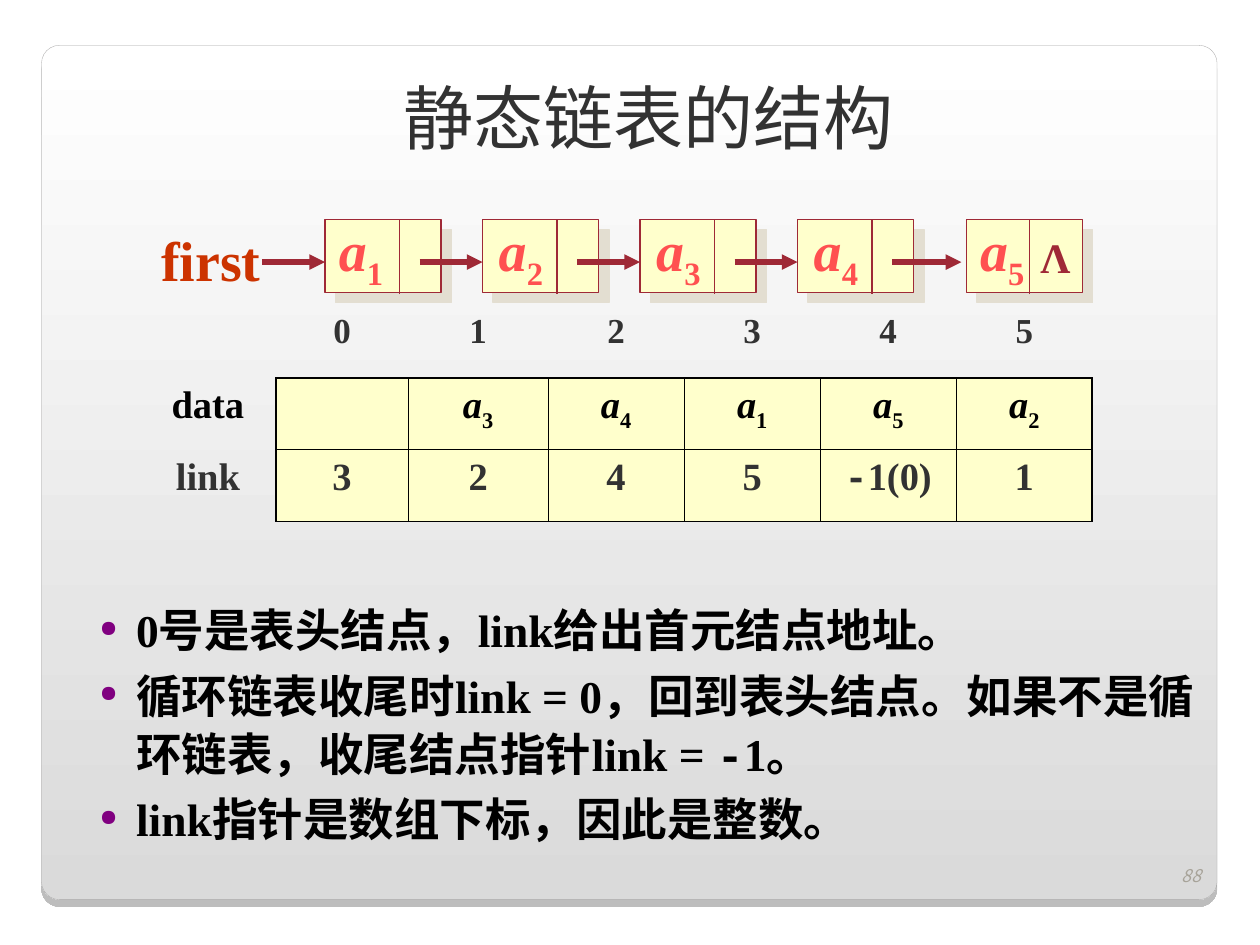
import pptx
import pptx.dml.color
import pptx.enum.dml
import pptx.enum.shapes
import pptx.enum.text
import pptx.oxml
import pptx.oxml.ns
import pptx.util
from pptx.util import Inches

RGBColor = pptx.dml.color.RGBColor
Pt = pptx.util.Pt
PP_ALIGN = pptx.enum.text.PP_ALIGN
MSO_ANCHOR = pptx.enum.text.MSO_ANCHOR
MSO_SHAPE = pptx.enum.shapes.MSO_SHAPE

WHITE = RGBColor(0xFF, 0xFF, 0xFF)
BLACK = RGBColor(0x00, 0x00, 0x00)
DARK = RGBColor(0x32, 0x32, 0x32)
CARD_END = RGBColor(0xDA, 0xDA, 0xDA)
CARD_LINE = RGBColor(0xA4, 0xA3, 0xA3)
CREAM = RGBColor(0xFF, 0xFF, 0xCC)
MAROON = RGBColor(0x9F, 0x29, 0x36)
CORAL = RGBColor(0xFF, 0x50, 0x50)
ORANGE = RGBColor(0xCC, 0x33, 0x00)
SHADOW = RGBColor(0xE3, 0xDE, 0xD1)
PURPLE = RGBColor(0x80, 0x00, 0x80)
PAGE_GREY = RGBColor(0xA7, 0xA3, 0x99)
CJK = "Noto Sans CJK SC"
NS = pptx.oxml.ns.nsdecls("a")


def write(p, text, size=22, color=DARK, font="Times New Roman", bold=True,
          italic=False, sub=False):
    r = p.add_run()
    r.text = text
    r.font.size = Pt(size)
    r.font.color.rgb = color
    r.font.name = font
    r.font.bold = bold
    r.font.italic = italic
    rPr = r.font._element
    rPr.append(pptx.oxml.parse_xml(f'<a:ea {NS} typeface="{CJK}"/>'))
    if sub:
        rPr.set("baseline", "-25000")


def set_shadow(s, color, alpha, distance, angle):
    """Give a shape a hard shadow; alpha in percent, distance in points."""
    s.shadow.inherit = False
    effects = s._element.spPr.find(pptx.oxml.ns.qn("a:effectLst"))
    effects.append(pptx.oxml.parse_xml(
        f'<a:outerShdw {NS} blurRad="0" dist="{Pt(distance)}" dir="{angle * 60000}"'
        f' algn="tl" rotWithShape="0"><a:srgbClr val="{color}">'
        f'<a:alpha val="{alpha * 1000}"/></a:srgbClr></a:outerShdw>'))


prs = pptx.Presentation()
prs.slide_width, prs.slide_height = Inches(10), Inches(7.5)
slide = prs.slides.add_slide(prs.slide_layouts[6])
shapes = slide.shapes

# Card behind everything
card = shapes.add_shape(MSO_SHAPE.ROUNDED_RECTANGLE, Inches(0.33), Inches(0.36),
                        Inches(9.33), Inches(6.78))
card.adjustments[0] = 0.021
card.fill.gradient()
card.fill.gradient_angle = 270
for stop, color, position in zip(card.fill.gradient_stops, (WHITE, CARD_END), (0, 1)):
    stop.color.rgb = color
    stop.position = position
card.line.color.rgb = CARD_LINE
card.line.width = Pt(0.17)
set_shadow(card, BLACK, 25, 4, 90)

# Linked nodes; the last one stands apart and has a narrower data field
nodes = [(2.58 + 1.25 * i, 0.59) for i in range(4)] + [(7.67, 0.5)]
lines = []
for i, (left, divider) in enumerate(nodes):
    node = shapes.add_shape(MSO_SHAPE.RECTANGLE, Inches(left), Inches(1.74),
                            Inches(0.92), Inches(0.58))
    node.fill.solid()
    node.fill.fore_color.rgb = CREAM
    node.line.color.rgb = MAROON
    node.line.width = Pt(0.75)
    set_shadow(node, SHADOW, 100, 8.5, 45)
    x = left + divider
    lines.append((x, 1.74, x, 2.33, 0.75, False))
    start = 2.08 + 1.25 * i
    tip = 7.63 if i == 4 else left
    lines.append((start, 2.08, tip, 2.08, 3, True))

for x1, y1, x2, y2, width, arrow in lines:
    line = shapes.add_connector(pptx.enum.shapes.MSO_CONNECTOR.STRAIGHT, Inches(x1),
                                Inches(y1), Inches(x2), Inches(y2))
    line.line.color.rgb = MAROON
    line.line.width = Pt(width)
    if arrow:
        line.line._get_or_add_ln().append(
            pptx.oxml.parse_xml(f'<a:tailEnd {NS} type="triangle"/>'))
    line._element.spPr.append(pptx.oxml.parse_xml(f"<a:effectLst {NS}/>"))

for i, left in enumerate((2.59, 3.86, 5.11, 6.36, 7.68), start=1):
    box = shapes.add_textbox(Inches(left), Inches(1.66), Inches(0.55), Inches(0.71))
    p = box.text_frame.paragraphs[0]
    write(p, "a", size=32, color=CORAL, italic=True)
    write(p, str(i), size=32, color=CORAL, sub=True)

# Single labels: place, wrap, alignment, anchor, text and its format
labels = [
    ((8.16, 1.79, 0.44, 0.5), False, PP_ALIGN.LEFT, MSO_ANCHOR.TOP,
     "Λ", dict(size=24, color=MAROON)),
    ((1.18, 1.74, 0.99, 0.64), False, PP_ALIGN.LEFT, MSO_ANCHOR.TOP,
     "first", dict(size=32, color=ORANGE)),
    ((0.67, 0.44, 8.95, 0.87), True, PP_ALIGN.CENTER, MSO_ANCHOR.BOTTOM,
     "静态链表的结构", dict(size=40, font="DejaVu Sans", bold=False)),
    ((9.13, 6.68, 0.5, 0.4), True, PP_ALIGN.RIGHT, MSO_ANCHOR.BOTTOM,
     "88", dict(size=10, color=PAGE_GREY, font=CJK, bold=False, italic=True)),
]
for place, wrap, align, anchor, text, style in labels:
    tf = shapes.add_textbox(*map(Inches, place)).text_frame
    tf.word_wrap = wrap
    tf.vertical_anchor = anchor
    tf.paragraphs[0].alignment = align
    write(tf.paragraphs[0], text, **style)

# Array table: index row, data row, link row
rows = [
    ["", "0", "1", "2", "3", "4", "5"],
    ["data", "", "a3", "a4", "a1", "a5", "a2"],
    ["link", "3", "2", "4", "5", "-1(0)", "1"],
]
frame = shapes.add_table(3, 7, Inches(1.11), Inches(2.43), Inches(7.58), Inches(1.72))
table = frame.table
table.first_row = table.horz_banding = False
style_id = table._tbl.tblPr.find(pptx.oxml.ns.qn("a:tableStyleId"))
style_id.text = "{2D5ABB26-0587-4C30-8999-92F81FD0307C}"  # no style, no grid
for column, width in zip(table.columns, (1.08, 1.05, 1.11, 1.08, 1.08, 1.08, 1.08)):
    column.width = Inches(width)
for i, row in enumerate(rows):
    table.rows[i].height = Inches(0.57)
    for j, text in enumerate(row):
        cell = table.cell(i, j)
        p = cell.text_frame.paragraphs[0]
        p.alignment = PP_ALIGN.CENTER
        if i == 0 and text:
            write(p, text, size=20)
        elif text.startswith("a"):
            write(p, "a", color=BLACK, italic=True)
            write(p, text[1:], color=BLACK, sub=True)
        elif text.startswith("-"):
            write(p, "-", font="Courier New")
            write(p, text[1:])
        elif text:
            write(p, text, color=BLACK if text == "data" else DARK)
        if i == 0 or j == 0:
            cell.fill.background()
            continue
        outer_edges = {"L": j == 1, "R": j == 6, "T": i == 1, "B": i == 2}
        for side, outer in outer_edges.items():
            cell._tc.get_or_add_tcPr().append(pptx.oxml.parse_xml(
                f'<a:ln{side} {NS} w="{Pt(1.08 if outer else 0.45)}"><a:solidFill>'
                f'<a:srgbClr val="{BLACK}"/></a:solidFill></a:ln{side}>'))
        cell.fill.solid()
        cell.fill.fore_color.rgb = CREAM

# Bulleted notes
notes = [
    ["0号是表头结点，link给出首元结点地址。"],
    ["循环链表收尾时link = 0，回到表头结点。如果不是循环链表，收尾结点指针link = ",
     "-", "1。"],
    ["link指针是数组下标，因此是整数。"],
]
tf = shapes.add_textbox(Inches(0.59), Inches(4.66), Inches(9), Inches(2.56)).text_frame
tf.word_wrap = True
tf.margin_left, tf.margin_top = Inches(0.2), Inches(0.1)
for i, note in enumerate(notes):
    p = tf.paragraphs[0] if i == 0 else tf.add_paragraph()
    pPr = p._p.get_or_add_pPr()
    pPr.set("marL", str(Inches(0.29)))
    pPr.set("indent", str(-Inches(0.29)))
    for bullet in (f'<a:buClr {NS}><a:srgbClr val="{PURPLE}"/></a:buClr>',
                   f'<a:buSzPct {NS} val="50000"/>',
                   f'<a:buChar {NS} char="●"/>'):
        pPr.append(pptx.oxml.parse_xml(bullet))
    p.line_spacing = 1.05
    if i:
        p.space_before = Pt(4.9)
    for text in note:
        write(p, text, size=26, color=BLACK,
              font="Courier New" if text == "-" else "Times New Roman")

prs.save("out.pptx")
